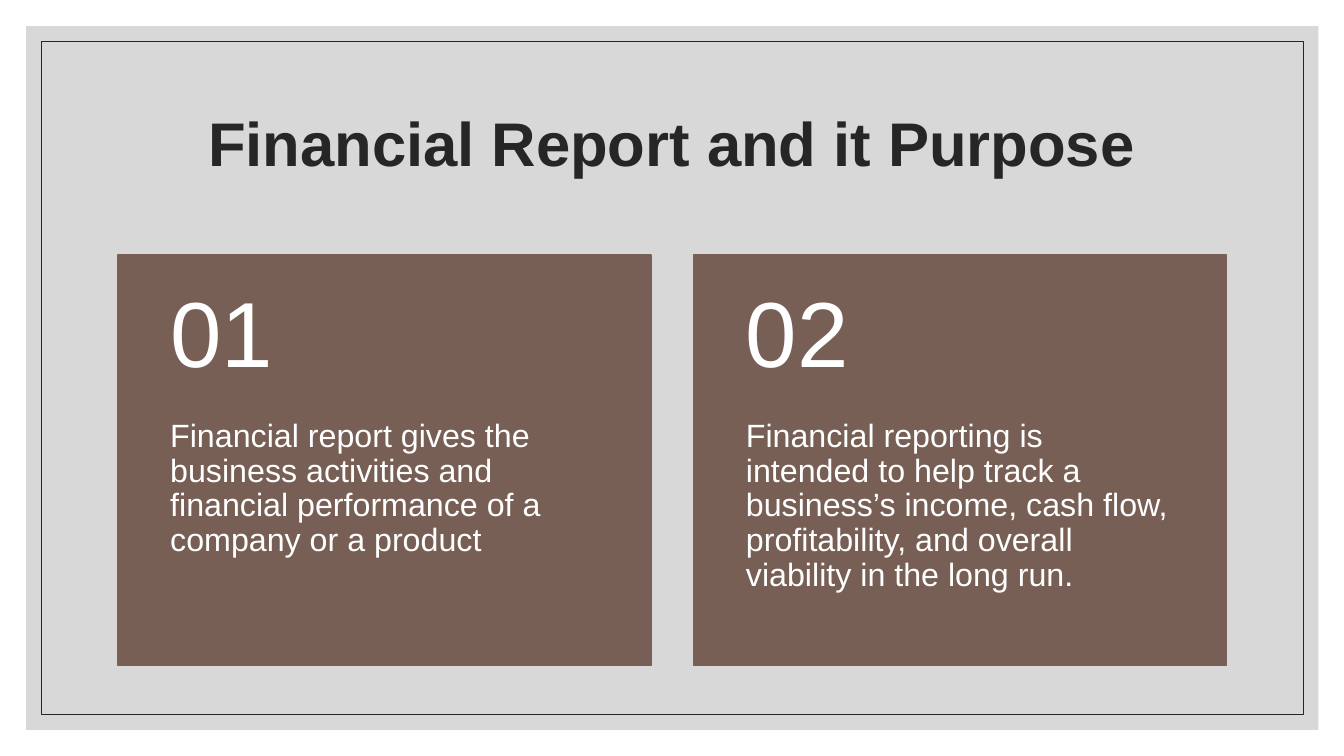
import pptx
import pptx.util
import pptx.dml.color
import pptx.enum.shapes
import pptx.enum.text
from lxml import etree

Pt = pptx.util.Pt
TEXT = pptx.enum.text

# Content
TITLE = "Financial Report and it Purpose"
CARDS = [
    ("01", "Financial report gives the business activities and financial "
           "performance of a company or a product"),
    ("02", "Financial reporting is intended to help track a business’s income, "
           "cash flow, profitability, and overall viability in the long run."),
]

# Look and layout, in points
FONT = "Arial"
INK, BROWN, GREY, WHITE = "262626", "775F55", "BFBFBF", "FFFFFF"
WIDE, HIGH = 960, 540
LEFT, TOP = 84.2, 182.2
CARD_W, CARD_H, HEAD_H = 380.9, 293, 117.4
STEP = 411.2
PAD = 37.4


def color(code):
    return pptx.dml.color.RGBColor.from_string(code)


def add_box(x, y, w, h, fill=None, line=None, width=1):
    kind = pptx.enum.shapes.MSO_SHAPE.RECTANGLE
    box = slide.shapes.add_shape(kind, Pt(x), Pt(y), Pt(w), Pt(h))
    box.shadow.inherit = False
    if fill:
        box.fill.solid()
        box.fill.fore_color.rgb = color(fill)
    else:
        box.fill.background()
    if line:
        box.line.color.rgb = color(line)
        box.line.width = Pt(width)
    else:
        box.line.fill.background()
    return box


def add_text(text, x, y, w, h, size, ink=WHITE, bold=False, align="LEFT",
             anchor="MIDDLE", pads=(7.2, 3.6, 7.2, 3.6), after=0):
    frame = slide.shapes.add_textbox(Pt(x), Pt(y), Pt(w), Pt(h)).text_frame
    frame.word_wrap = True
    frame.vertical_anchor = TEXT.MSO_ANCHOR[anchor]
    (frame.margin_left, frame.margin_top,
     frame.margin_right, frame.margin_bottom) = map(Pt, pads)
    para = frame.paragraphs[0]
    para.alignment = TEXT.PP_ALIGN[align]
    para.line_spacing = 0.9
    para.space_after = Pt(after)
    run = para.add_run()
    run.text = text
    run.font.name = FONT
    run.font.size = Pt(size)
    run.font.bold = bold
    run.font.color.rgb = color(ink)


deck = pptx.Presentation()
deck.slide_width, deck.slide_height = Pt(WIDE), Pt(HIGH)
slide = deck.slides.add_slide(deck.slide_layouts[6])

# Pale panel at 60 % opacity, with a thin frame inside
panel = add_box(18.7, 18.7, 923, 502.6, fill=GREY)
tint = panel.fill._xPr.find(".//" + pptx.oxml.ns.qn("a:srgbClr"))
etree.SubElement(tint, pptx.oxml.ns.qn("a:alpha"), val="60000")
add_box(29.4, 29.4, 901.4, 481, line=INK, width=0.5)

# Title
add_text(TITLE, LEFT, 50.4, 792, 108, 44, ink=INK, bold=True, align="CENTER")

# Numbered cards
for i, (number, body) in enumerate(CARDS):
    x = LEFT + i * STEP
    add_box(x, TOP, CARD_W, CARD_H, fill=BROWN, line=BROWN)
    add_text(number, x, TOP, CARD_W, HEAD_H, 66,
             pads=(PAD, 13, PAD, 13), after=23)
    add_text(body, x, TOP + HEAD_H, CARD_W, CARD_H - HEAD_H, 23,
             anchor="TOP", pads=(PAD, 0, PAD, 26), after=8)

deck.save("out.pptx")
